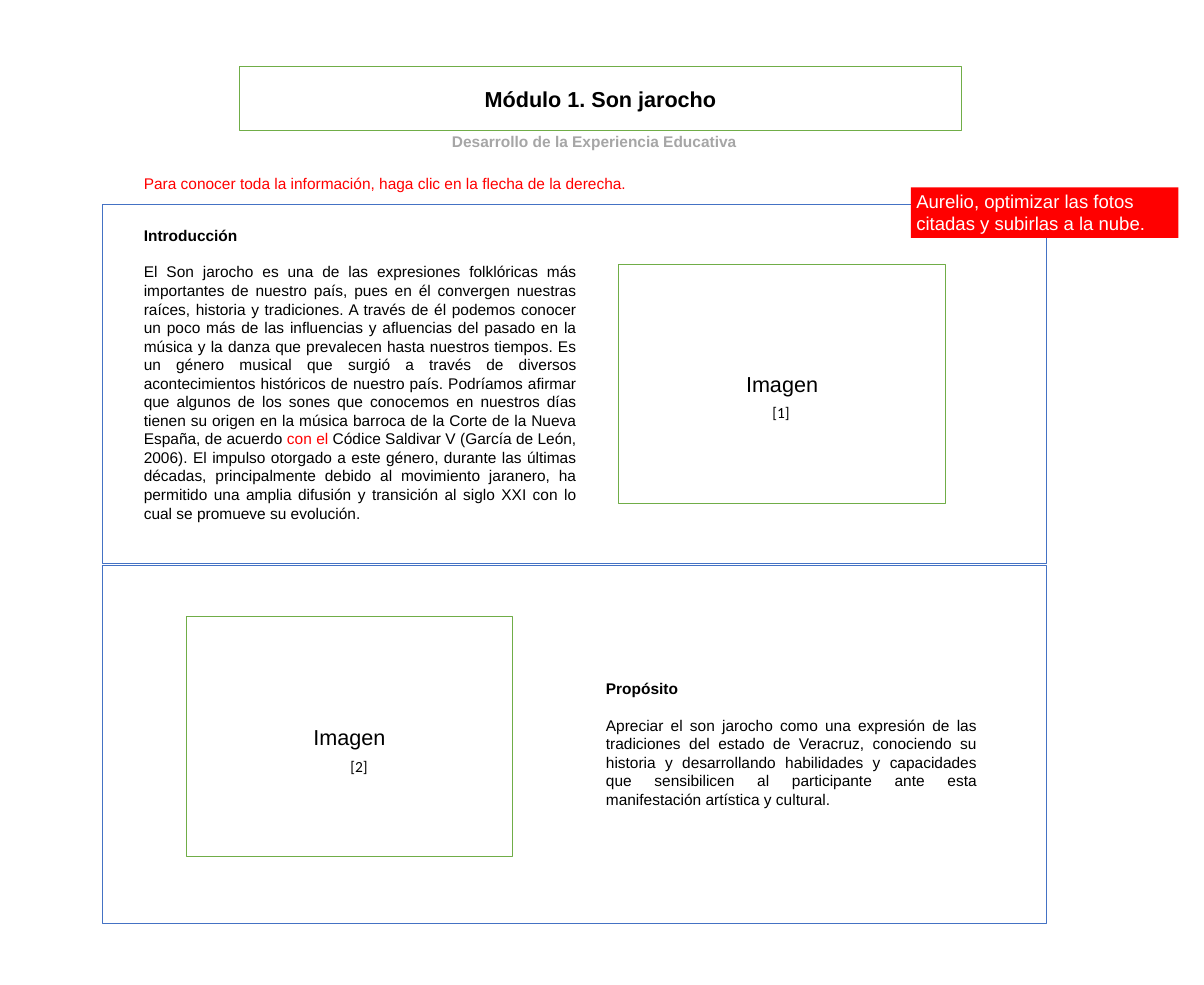
from pptx import Presentation, util as u
from pptx.dml.color import RGBColor
from pptx.enum import shapes, text

BLACK, WHITE, RED = "000000", "FFFFFF", "FF0000"
GREEN, BLUE, GREY = "70AD47", "4472C4", "A6A6A6"
LEFT, MID, JUST = text.PP_ALIGN.LEFT, text.PP_ALIGN.CENTER, text.PP_ALIGN.JUSTIFY
TOP, CENTRE = text.MSO_ANCHOR.TOP, text.MSO_ANCHOR.MIDDLE

deck = Presentation()
deck.slide_width, deck.slide_height = u.Cm(55), u.Cm(45)
slide = deck.slides.add_slide(deck.slide_layouts[6])


def box(place, fill=None, line=None):
    rect = slide.shapes.add_shape(shapes.MSO_SHAPE.RECTANGLE, *map(u.Cm, place))
    rect.shadow.inherit = False
    if fill:
        rect.fill.solid()
        rect.fill.fore_color.rgb = RGBColor.from_string(fill)
    else:
        rect.fill.background()
    if line:
        rect.line.color.rgb = RGBColor.from_string(line)
        rect.line.width = u.Pt(1)
    else:
        rect.line.fill.background()
    return rect


def write(shape, paras, size, align, anchor=CENTRE, wrap=True, face="Arial"):
    """Each paragraph is a list of (words, colour, bold) runs."""
    frame = shape.text_frame
    frame.word_wrap = wrap
    frame.vertical_anchor = anchor
    for i, runs in enumerate(paras):
        para = frame.add_paragraph() if i else frame.paragraphs[0]
        para.alignment = align
        if i < len(paras) - 1:
            para.space_after = u.Pt(23)
        for words, color, bold in runs:
            run = para.add_run()
            run.text = words
            run.font.name, run.font.size, run.font.bold = face, u.Pt(size), bold
            run.font.color.rgb = RGBColor.from_string(color)


# Title
title = box((10.92, 3.02, 33.02, 2.95), WHITE, GREEN)
write(title, [[("Módulo 1. Son jarocho", BLACK, True)]], 28, MID)

# Two panels, each with an image frame
for top, left, high in ((9.35, 28.27, 12.07), (25.81, 8.51, 28.17)):
    box((4.67, top, 43.13, 16.38), line=BLUE)
    frame = box((left, high, 14.91, 10.95), WHITE, GREEN)
    write(frame, [[("Imagen", BLACK, False)]], 28, MID)

# Body texts
intro = [
    [("Introducción", BLACK, True)],
    [("El Son jarocho es una de las expresiones folklóricas más importantes de "
      "nuestro país, pues en él convergen nuestras raíces, historia y tradiciones. "
      "A través de él podemos conocer un poco más de las influencias y afluencias "
      "del pasado en la música y la danza que prevalecen hasta nuestros tiempos. "
      "Es un género musical que surgió a través de diversos acontecimientos "
      "históricos de nuestro país. Podríamos afirmar que algunos de los sones que "
      "conocemos en nuestros días tienen su origen en la música barroca de la "
      "Corte de la Nueva España, de acuerdo ", BLACK, False),
     ("con el ", RED, False),
     ("Códice Saldivar V (García de León, 2006). El impulso otorgado a este "
      "género, durante las últimas décadas, principalmente debido al movimiento "
      "jaranero, ha permitido una amplia difusión y transición al siglo XXI con "
      "lo cual se promueve su evolución.", BLACK, False)],
]
goal = [
    [("Propósito", BLACK, True)],
    [("Apreciar el son jarocho como una expresión de las tradiciones del estado "
      "de Veracruz, conociendo su historia y desarrollando habilidades y "
      "capacidades que sensibilicen al participante ante esta manifestación "
      "artística y cultural.", BLACK, False)],
]
for place, paras in (
    ((6.32, 10.16, 20.27, 13.87), intro),
    ((27.43, 29.31, 17.45, 9.35), goal),
):
    write(slide.shapes.add_textbox(*map(u.Cm, place)), paras, 20, JUST)

# Subtitle, hint and image numbers
for place, words, color, bold, align, anchor, wrap, face in (
    ((18.59, 5.84, 17.12, 1.27), "Desarrollo de la Experiencia Educativa",
     GREY, True, MID, CENTRE, True, "Arial"),
    ((6.32, 7.85, 22.71, 1.12),
     "Para conocer toda la información, haga clic en la flecha de la derecha.",
     RED, False, LEFT, TOP, False, "Arial"),
    ((34.93, 18.29, 1.5, 1.12), "[1]", BLACK, False, MID, TOP, False, "Calibri"),
    ((15.65, 34.47, 1.5, 1.12), "[2]", BLACK, False, MID, TOP, False, "Calibri"),
):
    label = slide.shapes.add_textbox(*map(u.Cm, place))
    write(label, [[(words, color, bold)]], 20, align, anchor, wrap, face)

# Red note
note = box((41.61, 8.56, 12.22, 2.31), RED)
write(note, [[("Aurelio, optimizar las fotos citadas y subirlas a la nube.",
               WHITE, False)]], 24, LEFT, TOP)

deck.save("out.pptx")
